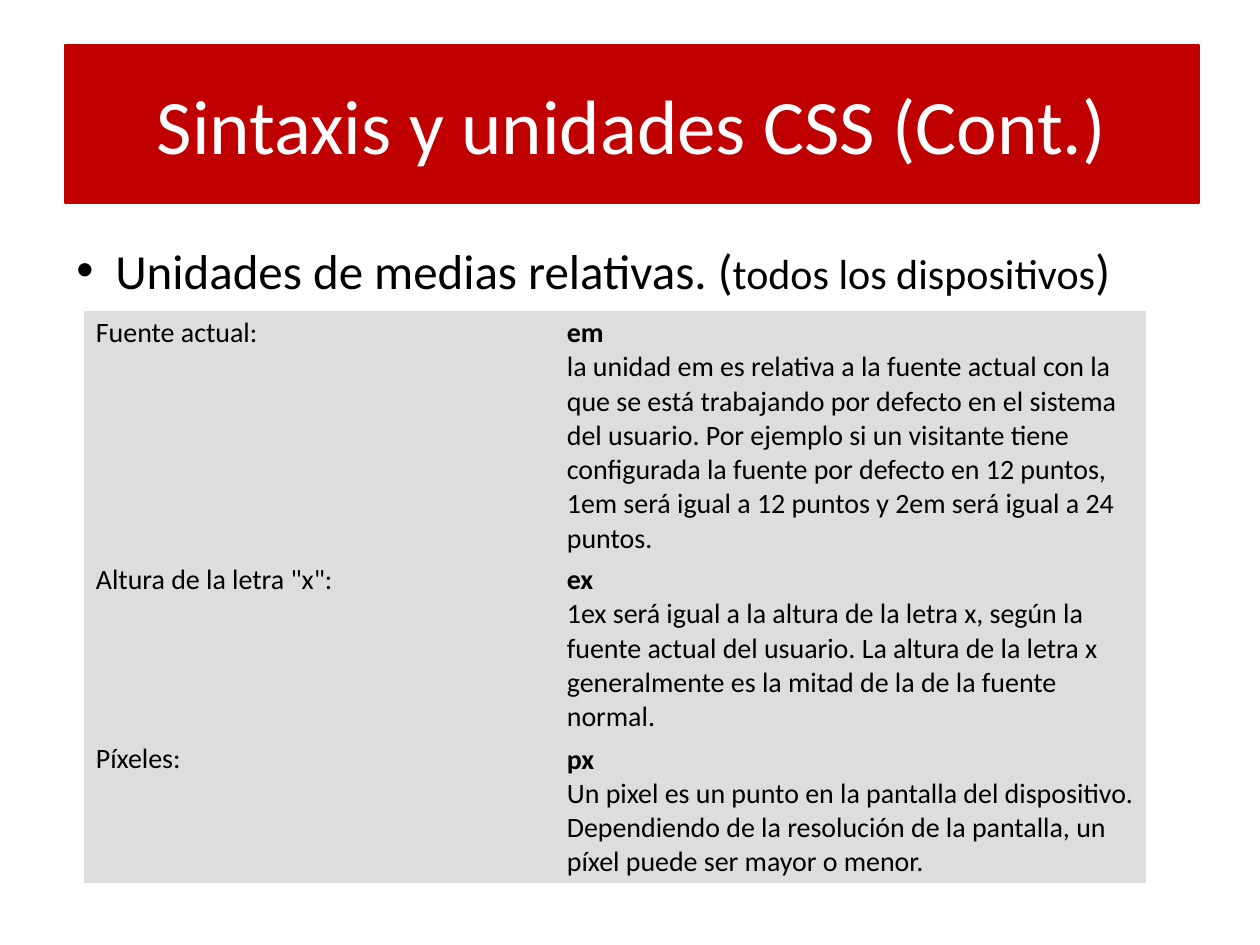
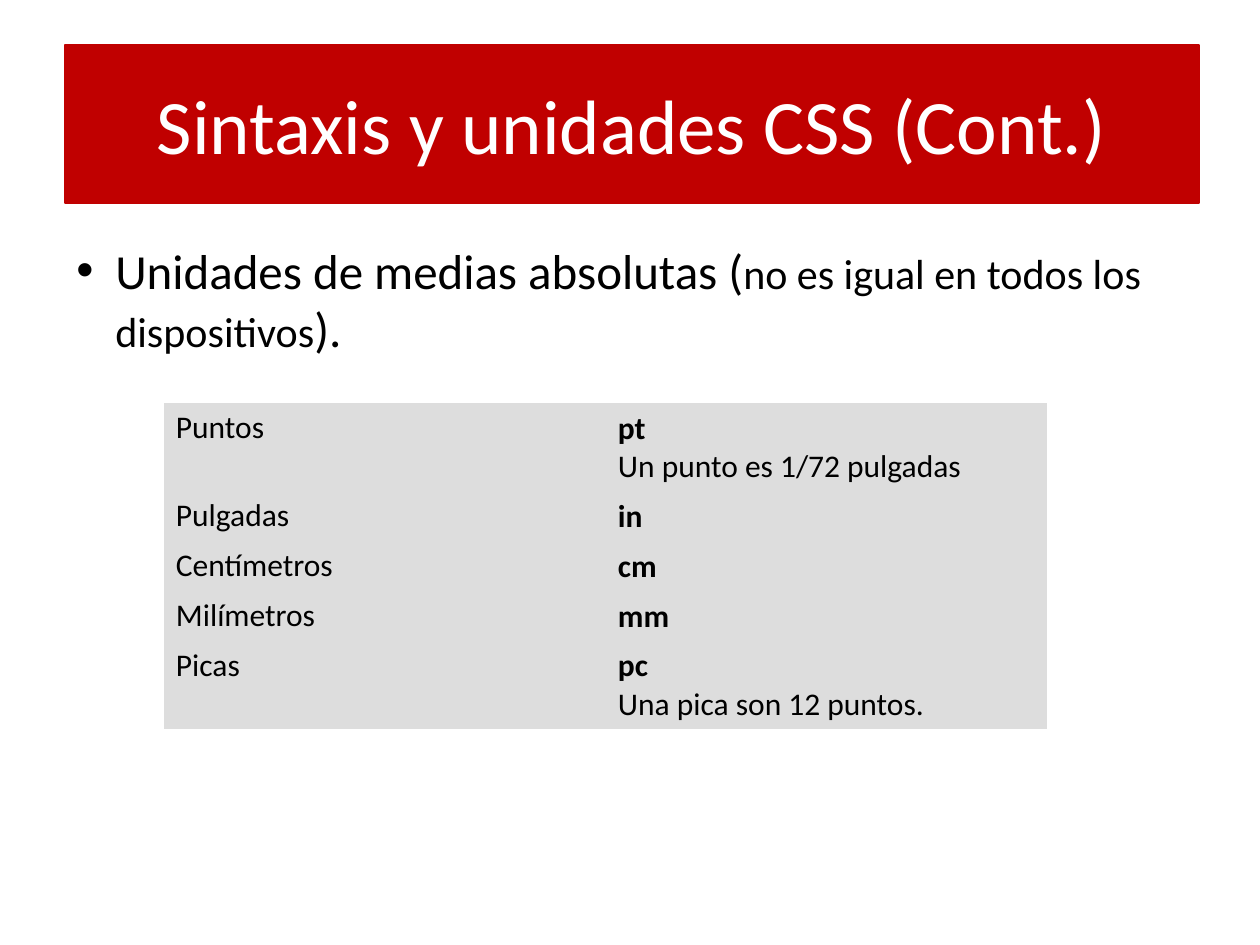
from pptx import Presentation, util as u
from pptx.dml.color import RGBColor
from pptx.enum import shapes, text
from pptx.oxml.ns import qn
from lxml import etree

PX = 914400 / 126
RED, WHITE, BLACK, GREY = "C00000", "FFFFFF", "000000", "DDDDDD"
NO_STYLE_NO_GRID = "{2D5ABB26-0587-4C30-8999-92F81FD0307C}"
TITLE = "Sintaxis y unidades CSS (Cont.)"
BULLET_INDENT = 39

# Each table row: height, name, unit, explanation
SLIDES = [
    {
        "heading": ("Unidades de medias relativas. (", "todos los dispositivos", ")"),
        "heading_height": 131, "left": 84, "top": 311, "columns": (471, 591),
        "size": 16, "margins": (5, 3),
        "rows": [
            (247, "Fuente actual:", "em",
             "la unidad em es relativa a la fuente actual con la que se está trabajando por "
             "defecto en el sistema del usuario. Por ejemplo si un visitante tiene configurada "
             "la fuente por defecto en 12 puntos, 1em será igual a 12 puntos y 2em será igual "
             "a 24 puntos."),
            (179, 'Altura de la letra "x":', "ex",
             "1ex será igual a la altura de la letra x, según la fuente actual del usuario. "
             "La altura de la letra x generalmente es la mitad de la de la fuente normal."),
            (146, "Píxeles:", "px",
             "Un pixel es un punto en la pantalla del dispositivo. Dependiendo de la "
             "resolución de la pantalla, un píxel puede ser mayor o menor."),
        ],
    },
    {
        "heading": ("Unidades de medias absolutas (", "no es igual en todos los dispositivos", ")."),
        "heading_height": 190, "left": 164, "top": 403, "columns": (442, 441),
        "size": 18, "margins": (6, 5),
        "rows": [
            (88, "Puntos", "pt", "Un punto es 1/72 pulgadas"),
            (50, "Pulgadas", "in", ""),
            (50, "Centímetros", "cm", ""),
            (50, "Milímetros", "mm", ""),
            (88, "Picas", "pc", "Una pica son 12 puntos."),
        ],
    },
]


def px(*lengths):
    """Turn pixel lengths into a list of EMU lengths."""
    return [u.Emu(round(length * PX)) for length in lengths]


def write(paragraph, words, size, color=BLACK, bold=False):
    run = paragraph.add_run()
    run.text = words
    run.font.name = "Calibri"
    run.font.size = u.Pt(size)
    run.font.bold = bold
    run.font.color.rgb = RGBColor.from_string(color)


presentation = Presentation()
presentation.slide_width, presentation.slide_height = px(1260, 945)

for content in SLIDES:
    slide = presentation.slides.add_slide(presentation.slide_layouts[6])

    # Title band
    band = slide.shapes.add_shape(shapes.MSO_SHAPE.RECTANGLE, *px(65, 45, 1134, 158))
    band.shadow.inherit = False
    band.fill.solid()
    band.fill.fore_color.rgb = band.line.color.rgb = RGBColor.from_string(RED)
    band.line.width = u.Pt(0.75)
    band.text_frame.vertical_anchor = text.MSO_ANCHOR.MIDDLE
    paragraph = band.text_frame.paragraphs[0]
    paragraph.alignment = text.PP_ALIGN.CENTER
    write(paragraph, TITLE, size=44, color=WHITE)

    # Bulleted heading
    heading = slide.shapes.add_textbox(*px(64, 234, 1121, content["heading_height"]))
    heading.text_frame.word_wrap = True
    paragraph = heading.text_frame.paragraphs[0]
    for words, size in zip(content["heading"], (28, 24, 28)):
        write(paragraph, words, size=size)
    properties = paragraph._p.get_or_add_pPr()
    indent = px(BULLET_INDENT)[0]
    properties.set("marL", str(indent))
    properties.set("indent", str(-indent))
    etree.SubElement(properties, qn("a:buFont")).set("typeface", "Arial")
    etree.SubElement(properties, qn("a:buChar")).set("char", "•")

    # Table of units
    rows, columns = content["rows"], content["columns"]
    frame = slide.shapes.add_table(
        len(rows), len(columns),
        *px(content["left"], content["top"], sum(columns), sum(row[0] for row in rows)))
    table = frame.table
    table.first_row = table.horz_banding = False
    table._tbl.tblPr.find(qn("a:tableStyleId")).text = NO_STYLE_NO_GRID
    for column, width in zip(table.columns, px(*columns)):
        column.width = width
    for row, (height, name, unit, explanation) in zip(table.rows, rows):
        row.height = px(height)[0]
        for cell in row.cells:
            cell.fill.solid()
            cell.fill.fore_color.rgb = RGBColor.from_string(GREY)
            cell.margin_left, cell.margin_right = px(12, 12)
            cell.margin_top, cell.margin_bottom = px(*content["margins"])
        name_cell, unit_cell = row.cells
        write(name_cell.text_frame.paragraphs[0], name, size=content["size"])
        unit_cell.vertical_anchor = text.MSO_ANCHOR.MIDDLE
        paragraph = unit_cell.text_frame.paragraphs[0]
        write(paragraph, unit, size=content["size"], bold=True)
        if explanation:
            paragraph.add_line_break()
            write(paragraph, explanation, size=content["size"])

presentation.save("out.pptx")
